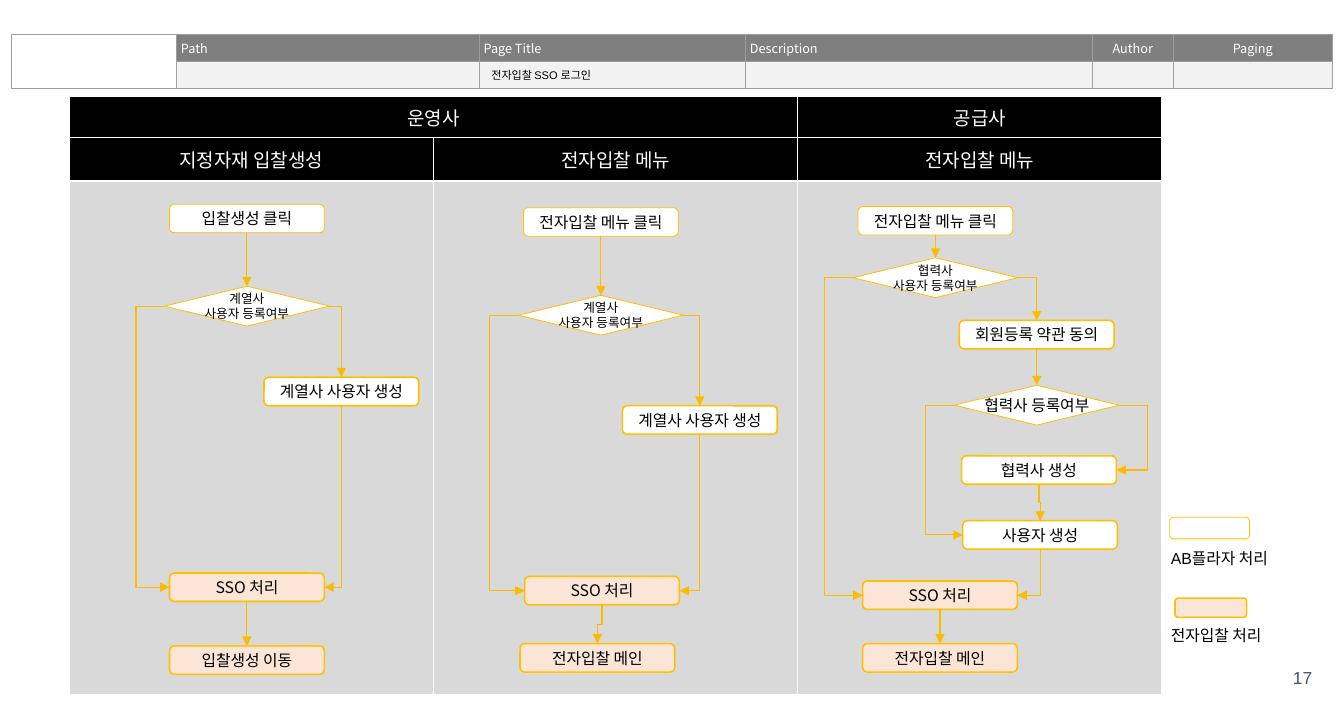
from pptx import Presentation
from pptx.dml.color import RGBColor
from pptx.enum.shapes import MSO_CONNECTOR, MSO_SHAPE
from pptx.enum.text import MSO_ANCHOR, PP_ALIGN
from pptx.oxml import parse_xml
from pptx.oxml.ns import nsdecls, qn
from pptx.oxml.xmlchemy import OxmlElement
from pptx.util import Inches, Pt

COLORS = {
    "white": "FFFFFF", "black": "000000", "bar": "7F7F7F", "pale": "F2F2F2",
    "rule": "9E9E9E", "lane": "D9D9D9", "outline": "FFC000", "arrow": "F9BC00",
    "bidding": "FBE5D6", "number": "44546A",
}
KOREAN = "Noto Sans CJK KR"
LATIN = "Arial"
TOP, LEFT, BOTTOM, RIGHT = range(4)
LANE_LEFT, LANE_WIDTH = 0.61, 3.2
DETOUR = Inches(0.25)


def write(frame, text, size, font, color="black", align=PP_ALIGN.CENTER, anchor=MSO_ANCHOR.MIDDLE):
    frame.text = text
    frame.vertical_anchor = anchor
    for paragraph in frame.paragraphs:
        paragraph.alignment = align
        for run in paragraph.runs:
            run.font.size = Pt(size)
            run.font.color.rgb = RGBColor.from_string(COLORS[color])
            run.font.name = font
            east_asian = OxmlElement("a:ea")
            east_asian.set("typeface", KOREAN)
            run.font._element.append(east_asian)


def finish_cell(cell, fill, rule, points, ruled="LRTB"):
    cell.fill.solid()
    cell.fill.fore_color.rgb = RGBColor.from_string(COLORS[fill])
    for place, side in enumerate("LRTB"):
        paint = "<a:noFill/>"
        if side in ruled:
            paint = f'<a:solidFill><a:srgbClr val="{COLORS[rule]}"/></a:solidFill>'
        cell._tc.tcPr.insert(place, parse_xml(
            f'<a:ln{side} {nsdecls("a")} w="{Pt(points)}">{paint}</a:ln{side}>'))
    if not cell.text:
        ending = OxmlElement("a:endParaRPr")
        ending.set("sz", "800")
        cell.text_frame.paragraphs[0]._p.append(ending)


deck = Presentation()
deck.slide_width, deck.slide_height = Inches(11.81), Inches(6.3)
slide = deck.slides.add_slide(deck.slide_layouts[6])
shapes = slide.shapes

page_widths = [1.45, 2.66, 2.34, 3.05, 0.71, 0.45, 0.44, 0.51]
page_titles = ["", "Path", "Page Title", "Description", "Author", "Paging", "", ""]
paging_rules = {5: "LTB", 6: "TB", 7: "RTB"}
page_info = shapes.add_table(2, 8, Inches(0.1), Inches(0.3), Inches(11.61), Inches(0.48)).table

lane_titles = [["운영사", "", "공급사"],
               ["지정자재 입찰생성", "전자입찰 메뉴", "전자입찰 메뉴"],
               ["", "", ""]]
lane_heights = [0.36, 0.38, 4.51]
lanes = shapes.add_table(3, 3, Inches(LANE_LEFT), Inches(0.85),
                         Inches(3 * LANE_WIDTH), Inches(sum(lane_heights))).table

for grid, widths, heights in [(page_info, page_widths, [0.24] * 2),
                              (lanes, [LANE_WIDTH] * 3, lane_heights)]:
    grid.first_row = grid.horz_banding = False
    for column, width in zip(grid.columns, widths):
        column.width = Inches(width)
    for row, height in zip(grid.rows, heights):
        row.height = Inches(height)

for col, title in enumerate(page_titles):
    for row, fill in enumerate(["bar", "pale"]):
        cell = page_info.cell(row, col)
        cell.margin_left = cell.margin_right = cell.margin_top = cell.margin_bottom = Inches(0.04)
        cell.vertical_anchor = MSO_ANCHOR.MIDDLE
        if row == 0 and title:
            align = PP_ALIGN.CENTER if col > 3 else PP_ALIGN.LEFT
            write(cell.text_frame, title, 8, KOREAN, "white", align)
        ruled = paging_rules.get(col, "LRTB") if row else "LRTB"
        finish_cell(cell, fill if col else "white", "rule", 0.75, ruled)
page_info.cell(0, 0).merge(page_info.cell(1, 0))
page_info.cell(0, 5).merge(page_info.cell(0, 7))

for row, titles in enumerate(lane_titles):
    for col, title in enumerate(titles):
        cell = lanes.cell(row, col)
        cell.vertical_anchor = MSO_ANCHOR.MIDDLE
        if title:
            write(cell.text_frame, title, 12, LATIN, "white")
        finish_cell(cell, "lane" if row == 2 else "black", "white", 1)
lanes.cell(0, 0).merge(lanes.cell(0, 1))

captions = [
    ("17", 10.92, 5.71, 0.71, 0.48, 11, "number", PP_ALIGN.RIGHT, MSO_ANCHOR.MIDDLE),
    ("전자입찰 SSO 로그인", 4.22, 0.55, 2.25, 0.22, 7, "black", PP_ALIGN.LEFT, MSO_ANCHOR.TOP),
    ("AB플라자 처리", 10.19, 4.77, 1.23, 0.27, 10, "black", PP_ALIGN.LEFT, MSO_ANCHOR.TOP),
    ("전자입찰 처리", 10.19, 5.45, 1.23, 0.27, 10, "black", PP_ALIGN.LEFT, MSO_ANCHOR.TOP),
]
for text, left, top, width, height, size, color, align, anchor in captions:
    caption = shapes.add_textbox(Inches(left), Inches(top), Inches(width), Inches(height))
    caption.text_frame.word_wrap = True
    write(caption.text_frame, text, size, LATIN, color, align, anchor)

STEP = (MSO_SHAPE.ROUNDED_RECTANGLE, 1.36, 0.25, "white", 1, 10, KOREAN)
START = (MSO_SHAPE.ROUNDED_RECTANGLE, 1.36, 0.25, "white", 0.5, 10, KOREAN)
BIDDING = (MSO_SHAPE.ROUNDED_RECTANGLE, 1.36, 0.25, "bidding", 1, 10, KOREAN)
CHECK = (MSO_SHAPE.FLOWCHART_DECISION, 1.45, 0.35, "white", 0.5, 8, LATIN)
WIDE_CHECK = CHECK[:5] + (10, LATIN)
PLAZA_KEY = (MSO_SHAPE.ROUNDED_RECTANGLE, 0.7, 0.19, "white", 0.5, 10, KOREAN)
BIDDING_KEY = (MSO_SHAPE.ROUNDED_RECTANGLE, 0.63, 0.17, "bidding", 1, 10, KOREAN)

steps = [
    ("click1", 0, -0.04, 1.92, START, "입찰생성 클릭"),
    ("check1", 0, -0.04, 2.69, CHECK, "계열사\n사용자 등록여부"),
    ("create1", 0, 0.79, 3.44, STEP, "계열사 사용자 생성"),
    ("sso1", 0, -0.04, 5.16, BIDDING, "SSO 처리"),
    ("finish1", 0, -0.04, 5.8, BIDDING, "입찰생성 이동"),
    ("click2", 1, -0.13, 1.95, START, "전자입찰 메뉴 클릭"),
    ("check2", 1, -0.13, 2.77, CHECK, "계열사\n사용자 등록여부"),
    ("create2", 1, 0.74, 3.69, STEP, "계열사 사용자 생성"),
    ("sso2", 1, -0.12, 5.19, BIDDING, "SSO 처리"),
    ("finish2", 1, -0.16, 5.78, BIDDING, "전자입찰 메인"),
    ("click3", 2, -0.39, 1.94, START, "전자입찰 메뉴 클릭"),
    ("check3", 2, -0.39, 2.44, CHECK, "협력사\n사용자 등록여부"),
    ("terms", 2, 0.5, 2.94, STEP, "회원등록 약관 동의"),
    ("supplier_check", 2, 0.5, 3.56, WIDE_CHECK, "협력사 등록여부"),
    ("supplier", 2, 0.52, 4.13, STEP, "협력사 생성"),
    ("user", 2, 0.53, 4.7, STEP, "사용자 생성"),
    ("sso3", 2, -0.35, 5.23, BIDDING, "SSO 처리"),
    ("finish3", 2, -0.35, 5.78, BIDDING, "전자입찰 메인"),
    ("plaza_key", 3, -1.18, 4.64, PLAZA_KEY, ""),
    ("bidding_key", 3, -1.17, 5.34, BIDDING_KEY, ""),
]
flow = {}
for key, lane, offset, middle, (outline, width, height, fill, weight, size, font), text in steps:
    center = LANE_LEFT + (lane + 0.5) * LANE_WIDTH + offset
    step = shapes.add_shape(outline, Inches(center - width / 2), Inches(middle - height / 2),
                            Inches(width), Inches(height))
    step.shadow.inherit = False
    step.fill.solid()
    step.fill.fore_color.rgb = RGBColor.from_string(COLORS[fill])
    step.line.color.rgb = RGBColor.from_string(COLORS["outline"])
    step.line.width = Pt(weight)
    step.text_frame.word_wrap = False
    write(step.text_frame, text, size, font)
    flow[key] = step

links = [
    ("click3", BOTTOM, "check3", TOP), ("check3", RIGHT, "terms", TOP),
    ("terms", BOTTOM, "supplier_check", TOP), ("supplier_check", RIGHT, "supplier", RIGHT),
    ("supplier_check", LEFT, "user", LEFT), ("supplier", BOTTOM, "user", TOP),
    ("check3", LEFT, "sso3", LEFT), ("user", BOTTOM, "sso3", RIGHT),
    ("sso3", BOTTOM, "finish3", TOP),
]
for lane in "12":
    links += [
        ("click" + lane, BOTTOM, "check" + lane, TOP),
        ("check" + lane, RIGHT, "create" + lane, TOP),
        ("check" + lane, LEFT, "sso" + lane, LEFT),
        ("create" + lane, BOTTOM, "sso" + lane, RIGHT),
        ("sso" + lane, BOTTOM, "finish" + lane, TOP),
    ]
for source, exit_side, target, entry_side in links:
    link = shapes.add_connector(MSO_CONNECTOR.ELBOW, 0, 0, 0, 0)
    link.begin_connect(flow[source], exit_side)
    link.end_connect(flow[target], entry_side)
    link.line.color.rgb = RGBColor.from_string(COLORS["arrow"])
    link.line.width = Pt(0.75)
    link.line._get_or_add_ln().append(parse_xml(f'<a:tailEnd {nsdecls("a")} type="triangle"/>'))
    properties = link._element.spPr
    properties.append(OxmlElement("a:effectLst"))
    geometry = properties.find(qn("a:prstGeom"))
    across, down = link.end_x - link.begin_x, link.end_y - link.begin_y
    if exit_side == BOTTOM and abs(across) < Inches(0.005):
        geometry.set("prst", "line")
        continue
    if {exit_side, entry_side} in ({BOTTOM, RIGHT}, {RIGHT, TOP}):
        geometry.set("prst", "bentConnector2")
    if exit_side == BOTTOM:
        middle_x, middle_y = link.begin_x + across / 2, link.begin_y + down / 2
        link.left, link.top = int(middle_x - down / 2), int(middle_y - abs(across) / 2)
        link.width, link.height = down, abs(across)
        frame = properties.find(qn("a:xfrm"))
        frame.attrib.pop("flipH", None)
        frame.set("rot", "5400000")
        if across > 0:
            frame.set("flipV", "1")
    elif exit_side == entry_side:
        reach = DETOUR if exit_side == RIGHT else -DETOUR
        bend = OxmlElement("a:gd")
        bend.set("name", "adj1")
        bend.set("fmla", f"val {round(reach / across * 100000)}")
        geometry.get_or_add_avLst().append(bend)

deck.save("out.pptx")
